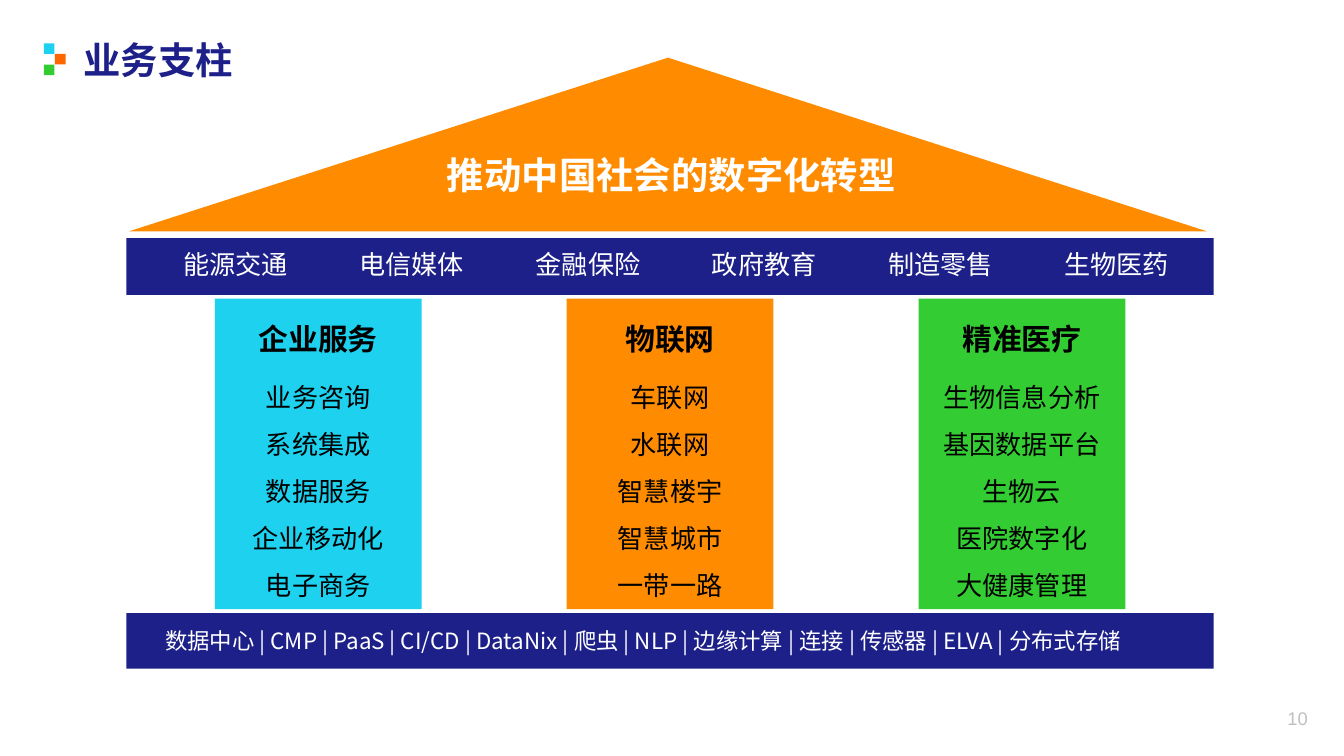
from dataclasses import dataclass

from lxml.etree import SubElement
from pptx import Presentation
from pptx.dml.color import RGBColor
from pptx.enum.shapes import MSO_SHAPE as Shape
from pptx.enum.text import MSO_ANCHOR as Anchor, PP_ALIGN as Align
from pptx.oxml.ns import qn
from pptx.util import Cm, Pt


@dataclass(frozen=True)
class Theme:
    navy: str = "1D2088"
    cyan: str = "1DD1EF"
    orange: str = "FF8C00"
    accent: str = "FF6600"
    green: str = "33CC33"
    white: str = "FFFFFF"
    black: str = "000000"
    gray: str = "BFBFBF"
    font: str = "Noto Sans CJK SC"
    number_font: str = "Arial"
    title_size: float = 20
    heading_size: float = 16
    body_size: float = 14
    base_size: float = 12
    number_size: float = 9.8


THEME = Theme()

INDUSTRIES = ["能源交通", "电信媒体", "金融保险", "政府教育", "制造零售", "生物医药"]
PILLARS = [
    ("企业服务", THEME.cyan,
     ["业务咨询", "系统集成", "数据服务", "企业移动化", "电子商务"]),
    ("物联网", THEME.orange,
     ["车联网", "水联网", "智慧楼宇", "智慧城市", "一带一路"]),
    ("精准医疗", THEME.green,
     ["生物信息分析", "基因数据平台", "生物云", "医院数字化", "大健康管理"]),
]
FOUNDATION = ["数据中心", "CMP", "PaaS", "CI/CD", "DataNix", "爬虫", "NLP",
              "边缘计算", "连接", "传感器", "ELVA", "分布式存储"]

BEAM_LEFT, BEAM_WIDTH = 2.39, 20.55
PILLAR_LEFT, PILLAR_STEP, PILLAR_WIDTH = 4.06, 6.65, 3.91
INDUSTRY_LEFT, INDUSTRY_STEP, INDUSTRY_WIDTH = 3.2, 3.33, 2.51


def add_block(slide, box, color, kind=Shape.RECTANGLE):
    block = slide.shapes.add_shape(kind, *map(Cm, box))
    block.shadow.inherit = False
    block.fill.solid()
    block.fill.fore_color.rgb = RGBColor.from_string(color)
    block.line.fill.background()


def write_lines(frame, lines, size, color, bold=False, align=Align.CENTER,
                spacing=None, font_name=THEME.font):
    frame.text = "\n".join(lines)
    for paragraph in frame.paragraphs:
        paragraph.alignment = align
        if spacing:
            paragraph.line_spacing = spacing
        font = paragraph.font
        font.size, font.bold, font.name = Pt(size), bold, font_name
        font.color.rgb = RGBColor.from_string(color)
        # Chinese characters take the East Asian typeface
        defaults = paragraph._p.pPr.find(qn("a:defRPr"))
        SubElement(defaults, qn("a:ea"), typeface=font_name)


def add_text(slide, box, lines, size, color, wrap=True, **style):
    frame = slide.shapes.add_textbox(*map(Cm, box)).text_frame
    frame.word_wrap = wrap
    write_lines(frame, lines, size, color, **style)


def add_title(slide):
    title = slide.shapes.title
    title.left, title.top, title.width, title.height = map(
        Cm, (1.32, 0.56, 23.29, 1.22))
    title.text_frame.vertical_anchor = Anchor.MIDDLE
    write_lines(title.text_frame, ["业务支柱"], THEME.title_size, THEME.navy,
                bold=True, align=Align.LEFT, spacing=0.9)
    # Three small squares beside the title
    for row, color in enumerate([THEME.cyan, THEME.accent, THEME.green]):
        add_block(slide, (0.83 + row % 2 * 0.21, 0.82 + row * 0.2, 0.2, 0.2), color)


def add_roof(slide):
    add_block(slide, (2.44, 1.09, 20.37, 3.28), THEME.orange,
              Shape.ISOSCELES_TRIANGLE)
    add_text(slide, (7.98, 2.74, 9.42, 1.12), ["推动中国社会的数字化转型"],
             THEME.title_size, THEME.white, wrap=False, bold=True)


def add_industries(slide):
    add_block(slide, (BEAM_LEFT, 4.5, BEAM_WIDTH, 1.07), THEME.navy)
    for column, industry in enumerate(INDUSTRIES):
        left = INDUSTRY_LEFT + column * INDUSTRY_STEP
        add_text(slide, (left, 4.57, INDUSTRY_WIDTH, 0.86), [industry],
                 THEME.body_size, THEME.white, wrap=False)


def add_pillar(slide, left, heading, color, services):
    add_block(slide, (left, 5.64, PILLAR_WIDTH, 5.87), color)
    add_text(slide, (left, 5.94, PILLAR_WIDTH, 0.94), [heading],
             THEME.heading_size, THEME.black, bold=True)
    add_text(slide, (left, 6.78, PILLAR_WIDTH, 4.75), services,
             THEME.body_size, THEME.black, spacing=1.5)


def add_foundation(slide):
    add_block(slide, (BEAM_LEFT, 11.58, BEAM_WIDTH, 1.05), THEME.navy)
    add_text(slide, (2.87, 11.73, 19.99, 0.76), [" | ".join(FOUNDATION)],
             THEME.base_size, THEME.white, align=Align.LEFT)


def main():
    deck = Presentation()
    deck.slide_width, deck.slide_height = Cm(25.4), Cm(14.28)
    slide = deck.slides.add_slide(deck.slide_layouts[5])

    add_title(slide)
    add_roof(slide)
    add_industries(slide)
    for column, pillar in enumerate(PILLARS):
        add_pillar(slide, PILLAR_LEFT + column * PILLAR_STEP, *pillar)
    add_foundation(slide)

    # Page number
    add_text(slide, (23.8, 13.23, 1.45, 0.94), ["10"], THEME.number_size,
             THEME.gray, wrap=False, font_name=THEME.number_font)
    deck.save("out.pptx")


if __name__ == "__main__":
    main()
